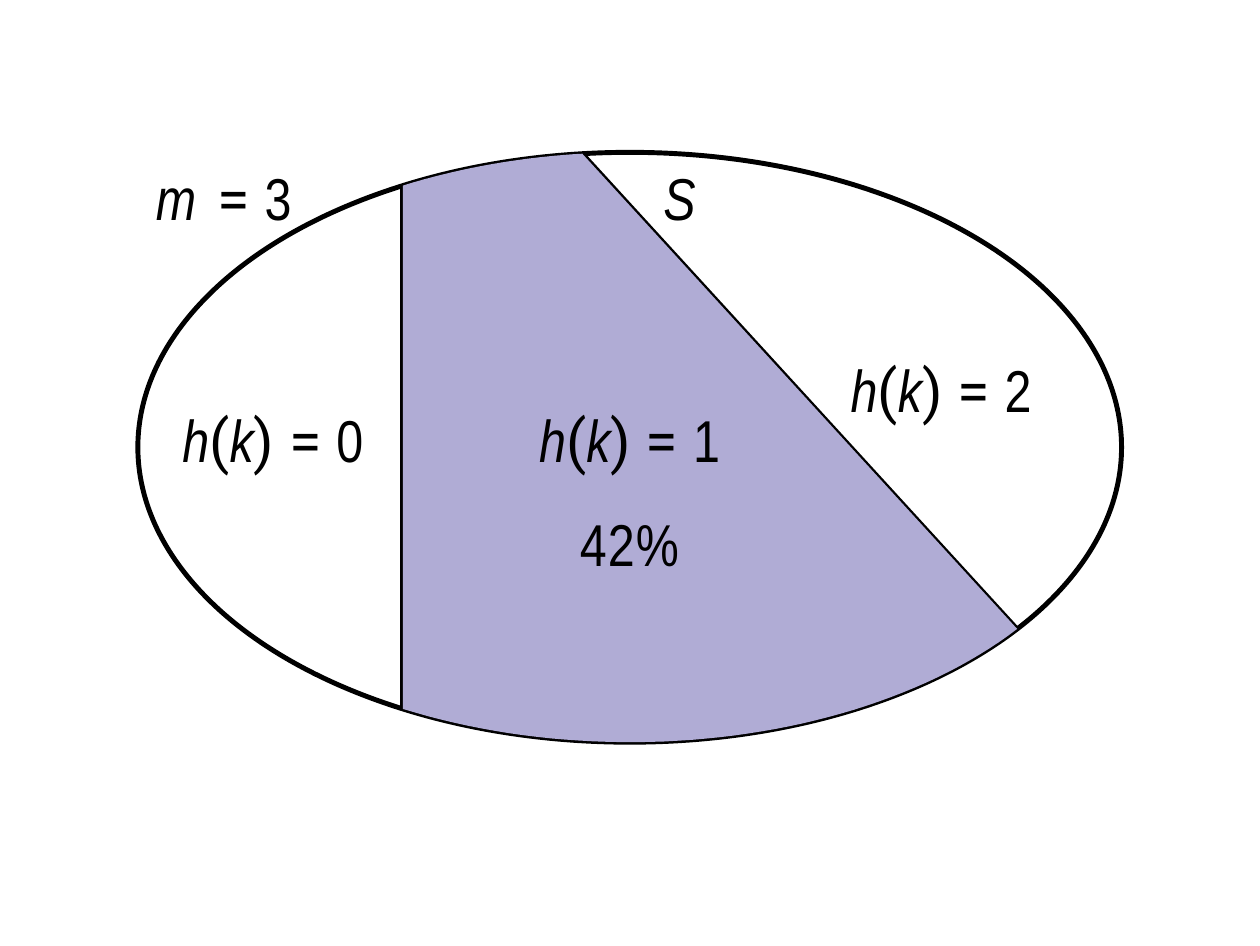
"""Draw a key set S split by a hash function into three regions."""
from dataclasses import dataclass
from math import acos, cos, sin
from typing import NamedTuple

from lxml.etree import SubElement
from pptx import Presentation
from pptx.dml.color import RGBColor as Rgb
from pptx.enum.shapes import MSO_CONNECTOR as Link, MSO_SHAPE as Form
from pptx.enum.text import MSO_AUTO_SIZE as Fit, PP_ALIGN as Align
from pptx.oxml.ns import qn
from pptx.util import Emu, Pt

WIDE, HIGH = Pt(363), Pt(272.5)
COLS, ROWS = 126.04, 94.62
HUES = {"ink": "000000", "share": "B0ACD5"}
PLAIN, SIGN = "Arial Narrow", "Roboto"
LINE, SIZE, STEPS = Pt(1.42), Pt(17), 48


class Spot(NamedTuple):
    """A place on the grid."""
    col: float
    row: float


class Bit(NamedTuple):
    """A run of text with its face, slant and tracking in points."""
    text: str
    face: str = PLAIN
    slant: bool = False
    track: float = 0


class Line(NamedTuple):
    """A paragraph with the space above it in points."""
    bits: list[Bit]
    above: float = 1.2


@dataclass
class Label:
    """A text box on the grid."""
    spot: Spot
    cols: float
    lines: list[Line]
    rows: float = 8
    inset: float = 0.5
    align: Align = Align.LEFT


@dataclass
class Oval:
    """An ellipse on the grid."""
    mid: Spot
    across: float
    down: float

    def turn(self, col: float) -> float:
        """Give the angle of the lower rim at a column."""
        return acos((col - self.mid.col) / self.across)

    def rim(self, angle: float) -> Spot:
        """Give the rim's place at an angle."""
        return Spot(self.mid.col + self.across * cos(angle),
                    self.mid.row + self.down * sin(angle))

    def arc(self, start: float, end: float) -> list[Spot]:
        """Give evenly turned places along the rim."""
        return [self.rim(start + (end - start) * i / STEPS)
                for i in range(STEPS + 1)]


def wide(cols: float) -> Emu:
    """Turn columns into a length."""
    return Emu(round(WIDE * cols / COLS))


def high(rows: float) -> Emu:
    """Turn rows into a length."""
    return Emu(round(HIGH * rows / ROWS))


def at(spot: Spot) -> tuple[Emu, Emu]:
    """Turn a grid place into slide lengths."""
    return wide(spot.col), high(spot.row)


def hue(name: str) -> Rgb:
    """Look up a colour."""
    return Rgb.from_string(HUES[name])


def draw_oval(slide, oval: Oval) -> None:
    """Outline the ellipse."""
    spot = Spot(oval.mid.col - oval.across, oval.mid.row - oval.down)
    shape = slide.shapes.add_shape(Form.OVAL, *at(spot), wide(2 * oval.across),
                                   high(2 * oval.down))
    shape.shadow.inherit = False
    shape.fill.background()
    shape.line.color.rgb = hue("ink")
    shape.line.width = LINE


def draw_chord(slide, start: Spot, end: Spot) -> None:
    """Join two places with a straight line."""
    chord = slide.shapes.add_connector(Link.STRAIGHT, *at(start), *at(end))
    chord.line.color.rgb = hue("ink")
    chord.line.width = LINE
    SubElement(chord._element.spPr, qn("a:effectLst"))


def draw_share(slide, rim: list[Spot]) -> None:
    """Fill the region inside a closed outline."""
    pen = slide.shapes.build_freeform(*at(rim[0]))
    pen.add_line_segments([at(spot) for spot in rim[1:]], close=True)
    shape = pen.convert_to_shape()
    shape.shadow.inherit = False
    shape.fill.solid()
    shape.fill.fore_color.rgb = hue("share")
    shape.line.fill.background()


def draw_label(slide, label: Label) -> None:
    """Write a label's lines in a text box."""
    box = slide.shapes.add_textbox(*at(label.spot), wide(label.cols),
                                   high(label.rows))
    frame = box.text_frame
    frame.word_wrap, frame.auto_size = True, Fit.SHAPE_TO_FIT_TEXT
    frame.margin_left = wide(0.25 if label.align == Align.LEFT else 0)
    frame.margin_right = frame.margin_bottom = 0
    frame.margin_top = high(label.inset)
    for i, line in enumerate(label.lines):
        para = frame.add_paragraph() if i else frame.paragraphs[0]
        para.alignment, para.space_before = label.align, Pt(line.above)
        para.font.size, para.font.color.rgb = SIZE, hue("ink")
        for bit in line.bits:
            run = para.add_run()
            run.text = bit.text
            run.font.name, run.font.italic = bit.face, bit.slant
            run._r.get_or_add_rPr().set("spc", str(round(bit.track * 100)))


def hash_to(slot: int) -> list[Bit]:
    """Write the hash of a key as equal to a slot."""
    return [Bit("h", slant=True), Bit("(", SIGN), Bit("k", slant=True),
            Bit(") = ", SIGN), Bit(str(slot), track=-0.5)]


def main() -> None:
    """Build and save the slide."""
    deck = Presentation()
    deck.slide_width, deck.slide_height = WIDE, HIGH
    slide = deck.slides.add_slide(deck.slide_layouts[6])

    keys = Oval(Spot(63, 44.75), 49.2, 29.5)
    left, top, low = (keys.turn(col) for col in (40.3, 58.25, 101.75))
    draw_oval(slide, keys)
    for start, end in ((-left, left), (-top, low)):
        draw_chord(slide, keys.rim(start), keys.rim(end))

    count = [Bit("m ", slant=True, track=1.1), Bit("= ", SIGN),
             Bit("3", track=-0.5)]
    labels = [
        Label(Spot(66.1, 15.65), 3.75, [Line([Bit("S", PLAIN, True, -0.3)])]),
        Label(Spot(15.35, 15.65), 15.75, [Line(count)]),
        Label(Spot(18, 39.8), 21.25, [Line(hash_to(0))]),
        Label(Spot(84.85, 34.8), 21.25, [Line(hash_to(2))]),
    ]
    for label in labels:
        draw_label(slide, label)

    draw_share(slide, keys.arc(-top, -left) + keys.arc(left, low))
    pair = [Line(hash_to(1), 10.6), Line([Bit("42%", track=0.3)], 9.7)]
    draw_label(slide, Label(Spot(52.35, 36.6), 21.25, pair,
                            21.5, 3.75, Align.CENTER))
    deck.save("out.pptx")


main()
